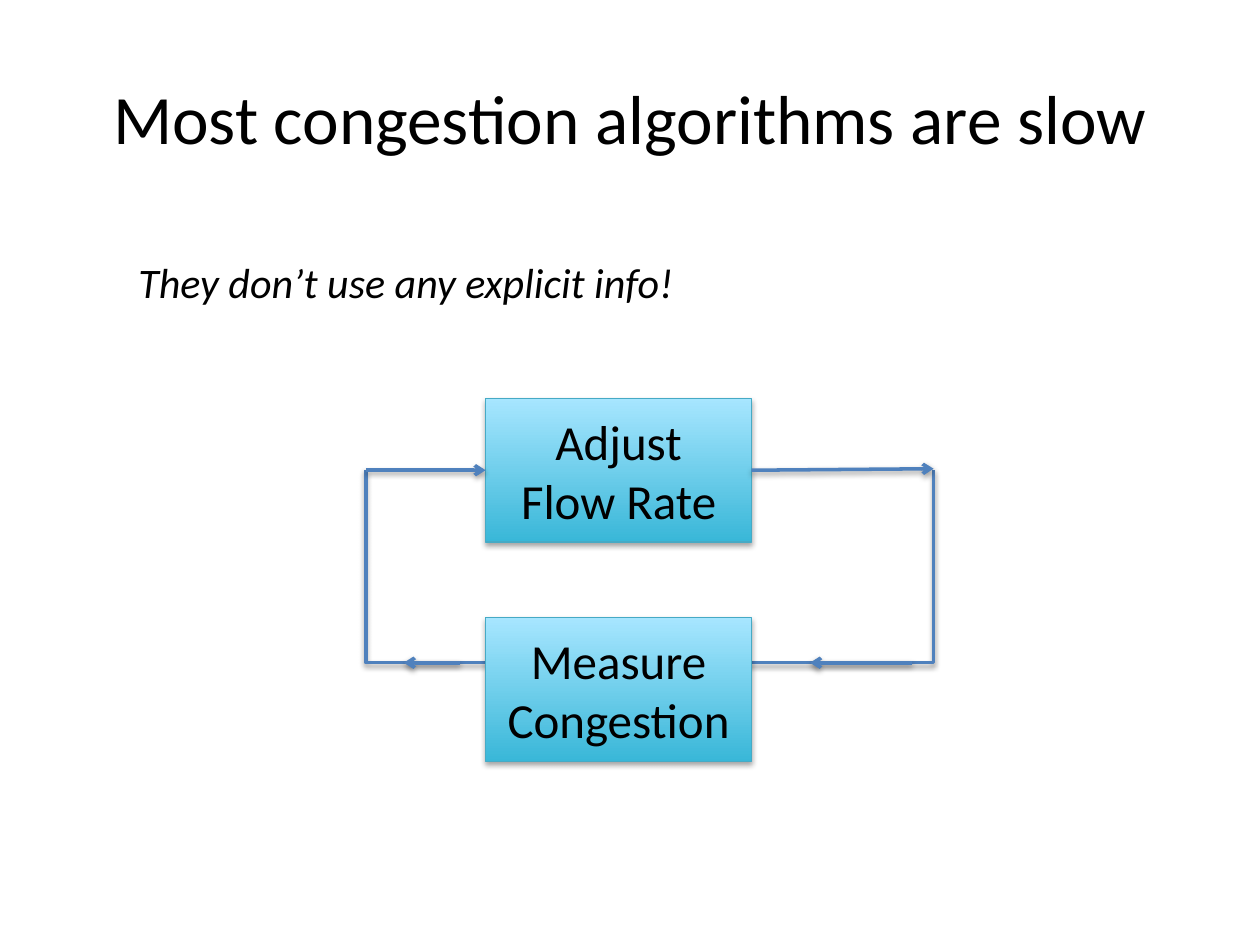
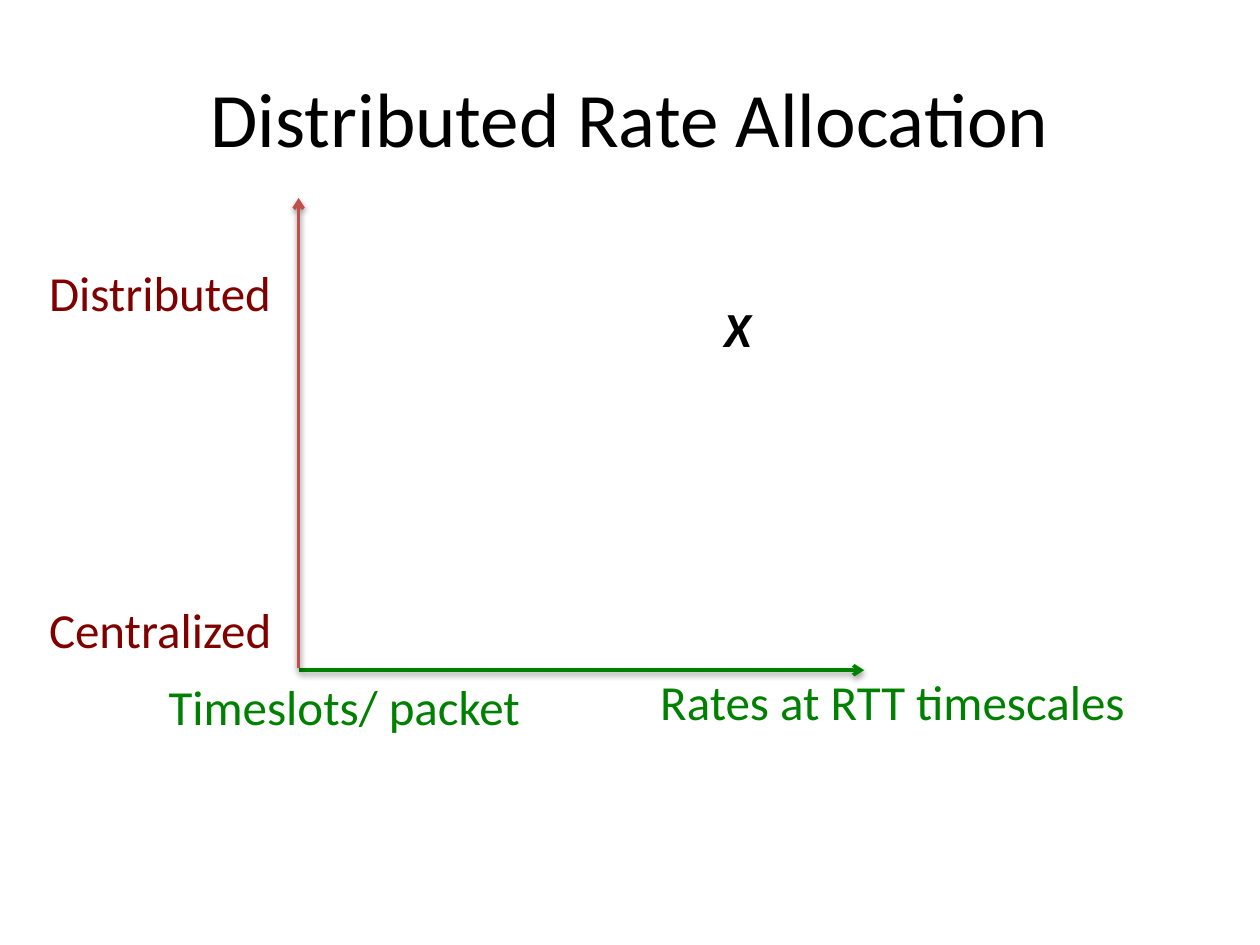
from lxml.etree import SubElement
from pptx import Presentation
from pptx.dml.color import RGBColor
from pptx.enum.shapes import MSO_CONNECTOR as Link, MSO_SHAPE as Preset
from pptx.enum.text import MSO_ANCHOR as Anchor, PP_ALIGN as Align
from pptx.oxml.ns import qn
from pptx.util import Cm, Pt

FONT = "Calibri"
BLACK, BLUE, RED = "000000", "4F81BD", "C0504D"
MAROON, GREEN = "800000", "008000"
BLOCK_DARK, BLOCK_LIGHT, BLOCK_EDGE = "39B7D8", "A7E6FF", "46AAC5"


def color(value):
    """Turn a hex string into a colour."""
    return RGBColor.from_string(value)


def write(frame, lines, size, ink=BLACK, align=Align.LEFT, bold=False, italic=False):
    """Fill a text frame with one paragraph per line."""
    for index, line in enumerate(lines):
        para = frame.add_paragraph() if index else frame.paragraphs[0]
        para.text = line
        para.alignment = align
        para.font.name, para.font.size = FONT, Pt(size)
        para.font.bold, para.font.italic = bold, italic
        para.font.color.rgb = color(ink)


def add_text(page, text, left, top, width, height, size, wrap=True, **style):
    """Add a text box with a single paragraph."""
    frame = page.shapes.add_textbox(Cm(left), Cm(top), Cm(width), Cm(height)).text_frame
    frame.word_wrap = wrap
    write(frame, [text], size, **style)
    return frame


def add_title(page, text, size):
    """Add the centred title."""
    frame = add_text(page, text, 1.27, 0.76, 22.86, 3.18, size, align=Align.CENTER)
    frame.vertical_anchor = Anchor.MIDDLE


def drop_shadow(shape, opacity, distance):
    """Give a shape or connector a soft shadow straight below."""
    properties = shape._element.spPr
    effects = properties.find(qn("a:effectLst"))
    if effects is None:
        effects = SubElement(properties, qn("a:effectLst"))
    shadow = SubElement(effects, qn("a:outerShdw"), blurRad="40000",
                        dist=str(distance), dir="5400000", rotWithShape="0")
    shade = SubElement(shadow, qn("a:srgbClr"), val=BLACK)
    SubElement(shade, qn("a:alpha"), val=str(opacity * 1000))


def add_line(page, start, end, ink=BLUE, arrow=True, bend=None):
    """Draw a line, bent at the given share of its width if there is one."""
    kind = Link.STRAIGHT if bend is None else Link.ELBOW
    line = page.shapes.add_connector(kind, *map(Cm, start + end))
    line.line.color.rgb = color(ink)
    line.line.width = Pt(2)
    if bend is not None:
        guides = line._element.spPr.find(qn("a:prstGeom")).get_or_add_avLst()
        SubElement(guides, qn("a:gd"), name="adj1", fmla=f"val {round(bend * 100000)}")
    if arrow:
        SubElement(line.line._get_or_add_ln(), qn("a:tailEnd"), type="arrow")
    drop_shadow(line, 38, 20000)


def add_block(page, lines, left, top, width, height):
    """Draw one gradient block of the loop."""
    block = page.shapes.add_shape(Preset.RECTANGLE, Cm(left), Cm(top), Cm(width), Cm(height))
    block.shadow.inherit = False
    block.fill.gradient()
    block.fill.gradient_angle = 90
    for stop, shade in zip(block.fill.gradient_stops, (BLOCK_DARK, BLOCK_LIGHT)):
        stop.color.rgb = color(shade)
    block.line.color.rgb = color(BLOCK_EDGE)
    block.line.width = Pt(0.75)
    drop_shadow(block, 35, 23000)
    block.text_frame.word_wrap = True
    block.text_frame.vertical_anchor = Anchor.MIDDLE
    write(block.text_frame, lines, 28, align=Align.CENTER)


def add_loop(page, left, top, width, height):
    """Draw the control loop: two blocks joined by arrows on both sides."""
    block_width, block_height = 5.36, 2.9
    block_left = left + 2.41
    block_right = block_left + block_width
    right, upper, lower = left + width, top + block_height / 2, top + 5.33
    inside = block_left + 1.66
    add_line(page, (right, upper), (inside, lower), bend=0)
    add_line(page, (inside, lower), (left, upper), arrow=False, bend=1)
    add_block(page, ["Adjust", "Flow Rate"], block_left, top, block_width, block_height)
    add_block(page, ["Measure Congestion"], block_left, top + height - block_height,
              block_width, block_height)
    add_line(page, (left, upper), (block_left, upper))
    add_line(page, (block_right, upper), (right, upper - 0.03))
    add_line(page, (right - 0.43, lower), (right - 2.49, lower))
    add_line(page, (left + 1.9, lower), (left + 0.76, lower))


def add_axes(page, left, top, width, height):
    """Draw the two axes with their labels and the marked point."""
    bottom = top + height
    add_line(page, (left, bottom), (left + width, bottom), GREEN)
    add_line(page, (left, bottom - 0.05), (left, top), RED)
    labels = [
        ("Distributed", -5.28, 1.17, 7.65, MAROON),
        ("Centralized", -5.28, 7.97, 8.1, MAROON),
        ("Timeslots/ packet", -2.87, height, 7.7, GREEN),
        ("Rates at RTT timescales", 7.04, height - 0.1, 11.07, GREEN),
    ]
    for text, across, down, room, ink in labels:
        add_text(page, text, left + across, top + down, room, 1.45, 28, ink=ink)
    add_text(page, "X", left + 8.33, top + 1.9, 4.52, 1.45, 28, bold=True, italic=True)


def main():
    """Build both slides and save the deck."""
    deck = Presentation()
    deck.slide_width, deck.slide_height = Cm(25.4), Cm(19.05)
    blank = deck.slide_layouts[6]

    page = deck.slides.add_slide(blank)
    add_title(page, "Most congestion algorithms are slow", 39.6)
    add_loop(page, 7.38, 8.03, 11.44, 7.32)
    add_text(page, "They don’t use any explicit info!", 2.54, 5.05, 11.58, 1.27, 24,
             wrap=False, italic=True)

    page = deck.slides.add_slide(blank)
    add_title(page, "Distributed Rate Allocation", 44)
    add_axes(page, 6.02, 3.99, 11.4, 9.52)

    deck.save("out.pptx")


if __name__ == "__main__":
    main()
